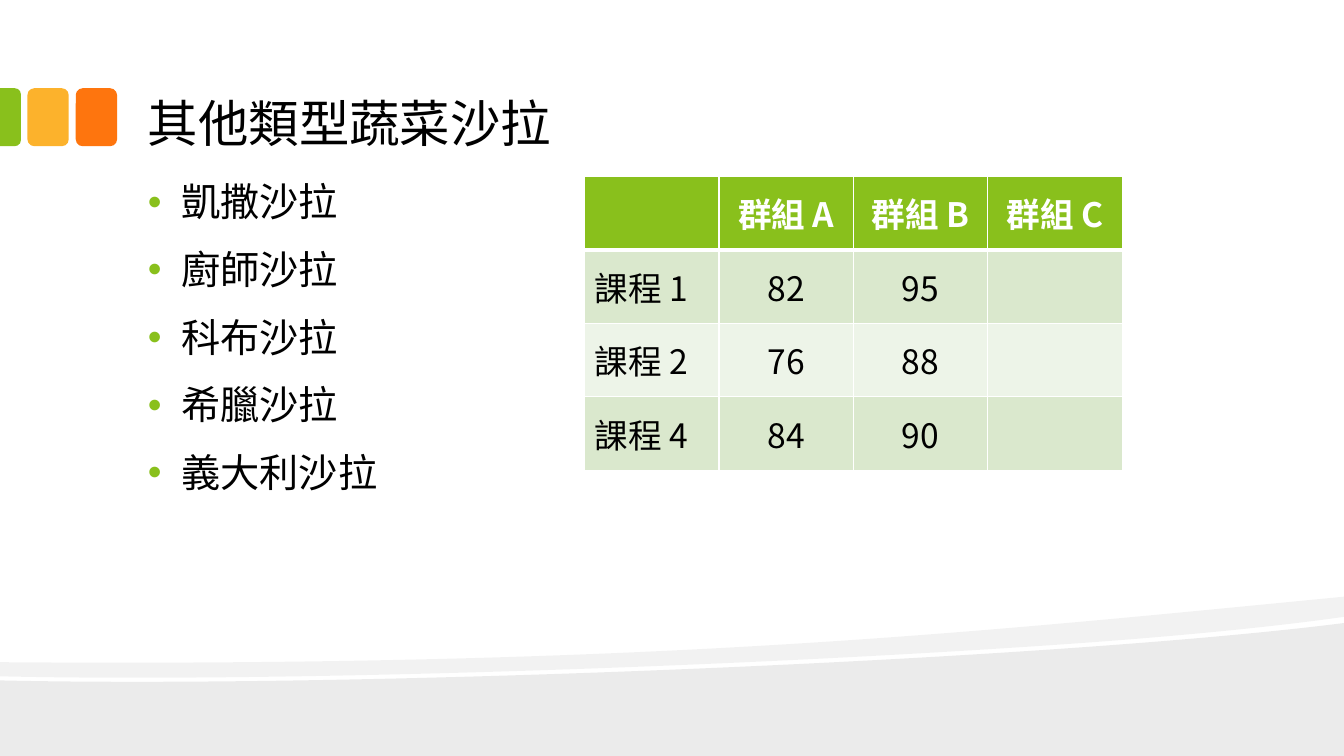
from lxml import etree
from pptx import Presentation
from pptx.dml.color import RGBColor
from pptx.enum.shapes import MSO_SHAPE
from pptx.enum.text import MSO_ANCHOR, MSO_AUTO_SIZE, PP_ALIGN
from pptx.oxml.ns import qn
from pptx.util import Pt

ROUNDED = MSO_SHAPE.ROUNDED_RECTANGLE
ROUNDED_TOP = MSO_SHAPE.ROUND_2_SAME_RECTANGLE
TOP, MIDDLE, BOTTOM = MSO_ANCHOR.TOP, MSO_ANCHOR.MIDDLE, MSO_ANCHOR.BOTTOM
LEFT, CENTER = PP_ALIGN.LEFT, PP_ALIGN.CENTER
NO_AUTOFIT = MSO_AUTO_SIZE.NONE

WIDTH, HEIGHT = 960, 540
FONT = "Noto Sans CJK SC"
BLACK, WHITE = "000000", "FFFFFF"
GREEN, YELLOW, ORANGE = "89C01C", "FCB22C", "FE750E"
BANDS = ("DAE8CD", "EDF4E8")
SALADS = ["凱撒沙拉", "廚師沙拉", "科布沙拉", "希臘沙拉", "義大利沙拉"]
SCORES = [
    ["", "群組 A", "群組 B", "群組 C"],
    ["課程 1", "82", "95", ""],
    ["課程 2", "76", "88", ""],
    ["課程 4", "84", "90", ""],
]
GROUND = [
    [(WIDTH, 445)],
    [(WIDTH, HEIGHT)],
    [(0, HEIGHT)],
    [(0, 486)],
    [(253.4, 491.8), (750.2, 471.6), (WIDTH, 445)],
]
RIBBON = [
    [(WIDTH, 426.2)],
    [(WIDTH, 440.6)],
    [(903.6, 448.6), (827.3, 455.8), (740.9, 461.5)],
    [(502.6, 477.4), (185.8, 487.4), (0, 483.1)],
    [(0, 473)],
    [(469.4, 476.6), (699.1, 451.4), (WIDTH, 426.2)],
]


def color(code):
    """Turn a hex string into a colour."""
    return RGBColor.from_string(code)


class SlideBuilder:
    """Hold the style and the current slide, and draw elements on it."""

    def __init__(self, page):
        """Keep the slide to draw on."""
        self.page = page

    def style(self, para, size, code, bold=False):
        """Format a paragraph's runs."""
        for span in para.runs:
            font = span.font
            font.name, font.size, font.bold = FONT, Pt(size), bold
            font.color.rgb = color(code)
            props = span._r.get_or_add_rPr()
            etree.SubElement(props, qn("a:ea")).set("typeface", FONT)

    def paint(self, shape, code, opacity=100):
        """Fill a shape, without outline or shadow."""
        shape.shadow.inherit = False
        shape.fill.solid()
        shape.fill.fore_color.rgb = color(code)
        shape.line.fill.background()
        if opacity < 100:
            tone = shape.fill._xPr.find(".//" + qn("a:srgbClr"))
            etree.SubElement(tone, qn("a:alpha")).set("val", str(opacity * 1000))

    def wave(self, segments, opacity):
        """Draw a transparent black outline; three-point segments are curves."""
        corners = [(Pt(x), Pt(y)) for segment in segments for x, y in segment]
        builder = self.page.shapes.build_freeform(*corners[0])
        builder.add_line_segments(corners[1:], close=True)
        shape = builder.convert_to_shape()
        lines = iter(list(shape._element.iter(qn("a:lnTo"))))
        for segment in segments[1:]:
            first, *others = [next(lines) for point in segment]
            if others:
                first.tag = qn("a:cubicBezTo")
            for line in others:
                first.append(line[0])
                line.getparent().remove(line)
        self.paint(shape, BLACK, opacity)

    def tile(self, kind, left, top, width, height, code, rotation=0):
        """Draw a coloured tile and return it."""
        shape = self.page.shapes.add_shape(
            kind, Pt(left), Pt(top), Pt(width), Pt(height))
        shape.rotation = rotation
        self.paint(shape, code)
        return shape

    def place(self, box, left, top, width, height, anchor):
        """Move a placeholder and set its frame."""
        box.left, box.top = Pt(left), Pt(top)
        box.width, box.height = Pt(width), Pt(height)
        frame = box.text_frame
        frame.word_wrap, frame.auto_size = True, NO_AUTOFIT
        frame.vertical_anchor = anchor
        frame.margin_left = frame.margin_right = Pt(9.6)
        frame.margin_top = frame.margin_bottom = Pt(4.8)
        return frame

    def title(self, text, left, top, width, height):
        """Fill the title placeholder."""
        frame = self.place(self.page.shapes.title, left, top, width, height, BOTTOM)
        frame.text = text
        para = frame.paragraphs[0]
        para.alignment, para.line_spacing = LEFT, 0.9
        self.style(para, 36, BLACK)

    def bullets(self, items, left, top, width, height):
        """Fill the body placeholder with a bulleted list."""
        frame = self.place(self.page.placeholders[1], left, top, width, height, TOP)
        frame.text = "\n".join(items)
        for index, para in enumerate(frame.paragraphs):
            para.line_spacing = 0.9
            para.space_before = Pt(18 if index else 0)
            props = para._p.get_or_add_pPr()
            props.set("marL", str(Pt(24)))
            props.set("indent", str(-Pt(24)))
            tint = etree.SubElement(props, qn("a:buClr"))
            etree.SubElement(tint, qn("a:srgbClr")).set("val", GREEN)
            etree.SubElement(props, qn("a:buFont")).set("typeface", "Arial")
            etree.SubElement(props, qn("a:buChar")).set("char", "•")
            self.style(para, 28, BLACK)

    def borders(self, cell, **widths):
        """Give a cell white borders of the named widths."""
        props = cell._tc.get_or_add_tcPr()
        for index, (side, width) in enumerate(widths.items()):
            line = etree.Element(qn("a:ln" + side), w=str(Pt(width)))
            fill = etree.SubElement(line, qn("a:solidFill"))
            etree.SubElement(fill, qn("a:srgbClr")).set("val", WHITE)
            props.insert(index, line)

    def table(self, rows, left, top, width, height):
        """Draw a banded table with a green header row."""
        table = self.page.shapes.add_table(
            len(rows), len(rows[0]), Pt(left), Pt(top), Pt(width), Pt(height)).table
        for r, row in enumerate(rows):
            for c, text in enumerate(row):
                cell = table.cell(r, c)
                cell.text, cell.vertical_anchor = text, MIDDLE
                cell.fill.solid()
                cell.fill.fore_color.rgb = color(BANDS[(r - 1) % 2] if r else GREEN)
                para = cell.text_frame.paragraphs[0]
                para.alignment = CENTER if c or not r else LEFT
                self.style(para, 24, BLACK if r else WHITE, bold=not r)
                self.borders(cell, L=1, R=1, T=3 if r == 1 else 1, B=1 if r else 3)


def main():
    """Build the slide and save it."""
    deck = Presentation()
    deck.slide_width, deck.slide_height = Pt(WIDTH), Pt(HEIGHT)
    builder = SlideBuilder(deck.slides.add_slide(deck.slide_layouts[1]))

    builder.wave(GROUND, 8)
    builder.wave(RIBBON, 5)

    for index, code in enumerate((YELLOW, ORANGE)):
        builder.tile(ROUNDED, 19.6 + 34.5 * index, 63, 29.5, 41.4, code)
    edge = builder.tile(ROUNDED_TOP, -13.2, 76.3, 41.4, 14.8, GREEN, 90)
    edge.adjustments[0] = 0.29

    builder.title("其他類型蔬菜沙拉", 96, 12.5, 767.5, 102.2)
    builder.bullets(SALADS, 96, 126, 384, 360)
    builder.table(SCORES, 417.6, 126, 384, 210)
    deck.save("out.pptx")


if __name__ == "__main__":
    main()
